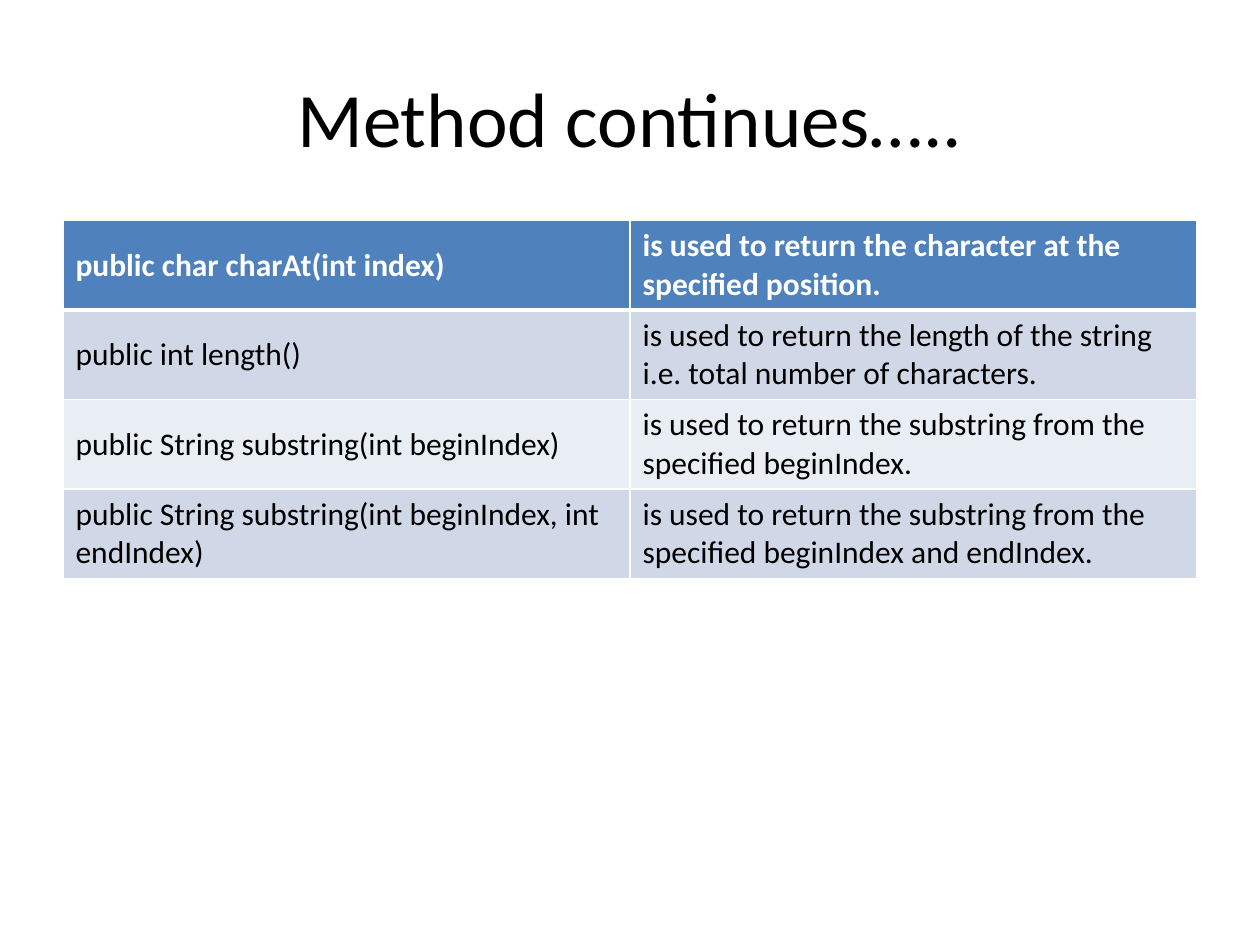
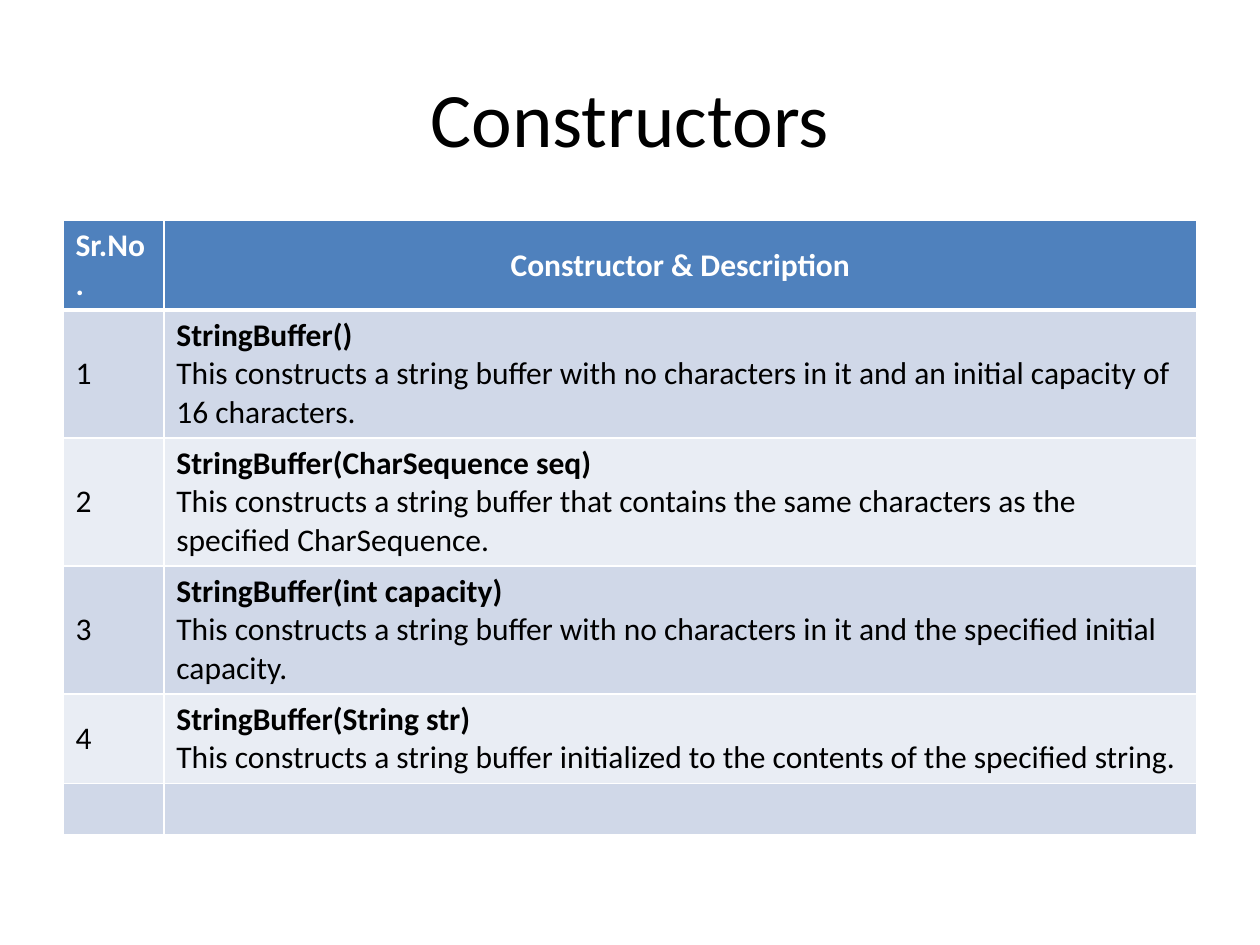
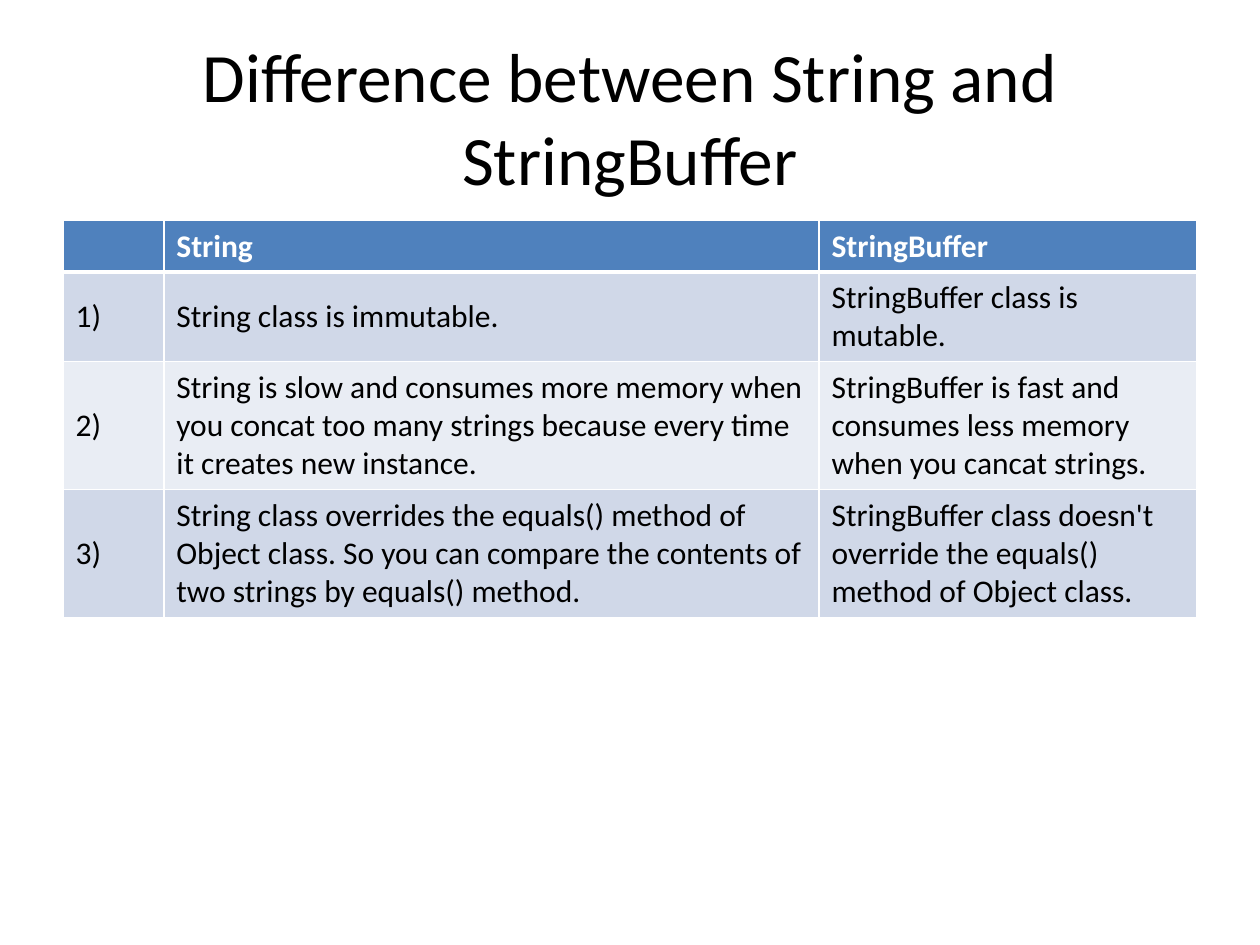
"""Builds three slides about the String and StringBuffer classes."""
from dataclasses import dataclass

from lxml.etree import SubElement
from pptx import Presentation
from pptx.dml.color import RGBColor
from pptx.enum.text import MSO_ANCHOR, MSO_AUTO_SIZE, PP_ALIGN
from pptx.oxml.ns import qn
from pptx.util import Inches, Pt


@dataclass(frozen=True)
class Theme:
    """Colours, font and sizes shared by all slides."""
    font: str = "Calibri"
    title_size: float = 44
    long_title_size: float = 39.6
    table_size: float = 18
    text: str = "000000"
    header_text: str = "FFFFFF"
    header_fill: str = "4F81BD"
    band_fills: tuple = ("D0D8E8", "E9EDF4")
    border: str = "FFFFFF"
    thin: float = 1
    thick: float = 3


THEME = Theme()


def write(para, text, size=THEME.table_size, color=THEME.text, bold=False, align=PP_ALIGN.LEFT):
    """Put formatted text in a paragraph."""
    para.alignment = align
    span = para.add_run()
    span.text = text
    span.font.name = THEME.font
    span.font.size = Pt(size)
    span.font.bold = bold
    span.font.color.rgb = RGBColor.from_string(color)


def draw_border(cell, side, width):
    """Draw one solid edge of a table cell."""
    properties = cell._tc.get_or_add_tcPr()
    line = SubElement(properties, qn(f"a:ln{side}"), w=str(Pt(width)))
    fill = SubElement(line, qn("a:solidFill"))
    SubElement(fill, qn("a:srgbClr"), val=THEME.border)


class SlideBuilder:
    """Holds the style and the current slide."""

    def __init__(self, deck, theme):
        """Start with no slide."""
        self.deck = deck
        self.theme = theme
        self.slide = None

    def add_slide(self, title, size):
        """Add a slide with a centred title."""
        self.slide = self.deck.slides.add_slide(self.deck.slide_layouts[5])
        box = self.slide.shapes.title
        box.left, box.top = Inches(0.5), Inches(0.3)
        box.width, box.height = Inches(9), Inches(1.25)
        frame = box.text_frame
        frame.auto_size = MSO_AUTO_SIZE.NONE
        frame.vertical_anchor = MSO_ANCHOR.MIDDLE
        write(frame.paragraphs[0], title, size=size, align=PP_ALIGN.CENTER)

    def add_table(self, widths, rows, centered_headers=(), bold_first_lines=False):
        """Add a table with a header row and banded body rows."""
        row_height = Inches(0.41)
        table = self.slide.shapes.add_table(
            len(rows), len(widths), Inches(0.5), Inches(1.75),
            Inches(sum(widths)), row_height * len(rows)).table
        table.first_row = table.horz_banding = False
        for column, width in zip(table.columns, widths):
            column.width = Inches(width)
        for row_index, row in enumerate(rows):
            table.rows[row_index].height = row_height
            for column_index, text in enumerate(row):
                centered = row_index == 0 and text in centered_headers
                self.fill_cell(table.cell(row_index, column_index), text, row_index,
                               PP_ALIGN.CENTER if centered else PP_ALIGN.LEFT,
                               bold_first_lines)

    def fill_cell(self, cell, text, row_index, align, bold_first_lines):
        """Style a cell by its row and write its lines."""
        theme = self.theme
        header = row_index == 0
        cell.vertical_anchor = MSO_ANCHOR.MIDDLE
        edges = {"L": theme.thin, "R": theme.thin,
                 "T": theme.thick if row_index == 1 else theme.thin,
                 "B": theme.thick if header else theme.thin}
        for side, width in edges.items():
            draw_border(cell, side, width)
        cell.fill.solid()
        fill = theme.header_fill if header else theme.band_fills[(row_index - 1) % 2]
        cell.fill.fore_color.rgb = RGBColor.from_string(fill)
        if not text:
            return
        frame = cell.text_frame
        lines = text.split("\n")
        for index, line in enumerate(lines):
            para = frame.add_paragraph() if index else frame.paragraphs[0]
            heading = bold_first_lines and len(lines) > 1 and index == 0
            write(para, line, color=theme.header_text if header else theme.text,
                  bold=header or heading, align=align)


METHODS = [
    ("public char charAt(int index)",
     "is used to return the character at the\nspecified position."),
    ("public int length()",
     "is used to return the length of the string i.e. total number of characters."),
    ("public String substring(int beginIndex)",
     "is used to return the substring from the specified beginIndex."),
    ("public String substring(int beginIndex, int endIndex)",
     "is used to return the substring from the specified beginIndex and endIndex."),
]

CONSTRUCTORS = [
    ("Sr.No.", "Constructor & Description"),
    ("1", "StringBuffer()\nThis constructs a string buffer with no characters in it "
          "and an initial capacity of 16 characters."),
    ("2", "StringBuffer(CharSequence seq)\nThis constructs a string buffer that contains "
          "the same characters as the specified CharSequence."),
    ("3", "StringBuffer(int capacity)\nThis constructs a string buffer with no characters "
          "in it and the specified initial capacity."),
    ("4", "StringBuffer(String str)\nThis constructs a string buffer initialized to the "
          "contents of the specified string."),
    ("", ""),
]

DIFFERENCES = [
    ("", "String", "StringBuffer"),
    ("1)", "String class is immutable.", "StringBuffer class is mutable."),
    ("2)", "String is slow and consumes more memory when you concat too many strings "
           "because every time it creates new instance.",
     "StringBuffer is fast and consumes less memory when you cancat strings."),
    ("3)", "String class overrides the equals() method of Object class. So you can compare "
           "the contents of two strings by equals() method.",
     "StringBuffer class doesn't override the equals() method of Object class."),
]


def main():
    """Build and save the deck."""
    deck = Presentation()
    deck.slide_width, deck.slide_height = Inches(10), Inches(7.5)
    builder = SlideBuilder(deck, THEME)

    builder.add_slide("Method continues…..", THEME.title_size)
    builder.add_table([4.5, 4.5], METHODS)

    builder.add_slide("Constructors", THEME.title_size)
    builder.add_table([0.8, 8.2], CONSTRUCTORS, bold_first_lines=True,
                      centered_headers=("Constructor & Description",))

    builder.add_slide("Difference between String and StringBuffer", THEME.long_title_size)
    builder.add_table([0.8, 5.2, 3], DIFFERENCES)

    deck.save("out.pptx")


if __name__ == "__main__":
    main()
